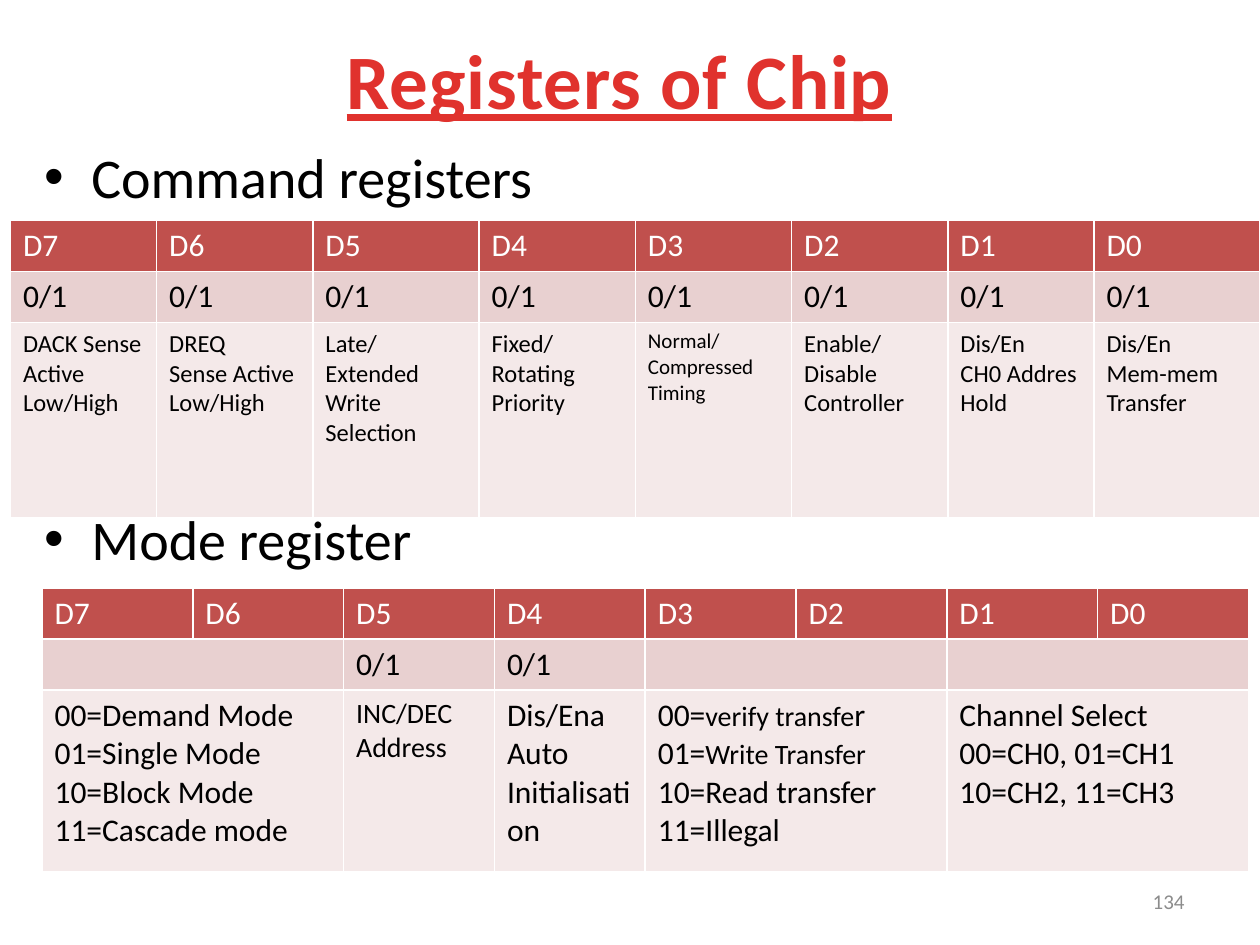
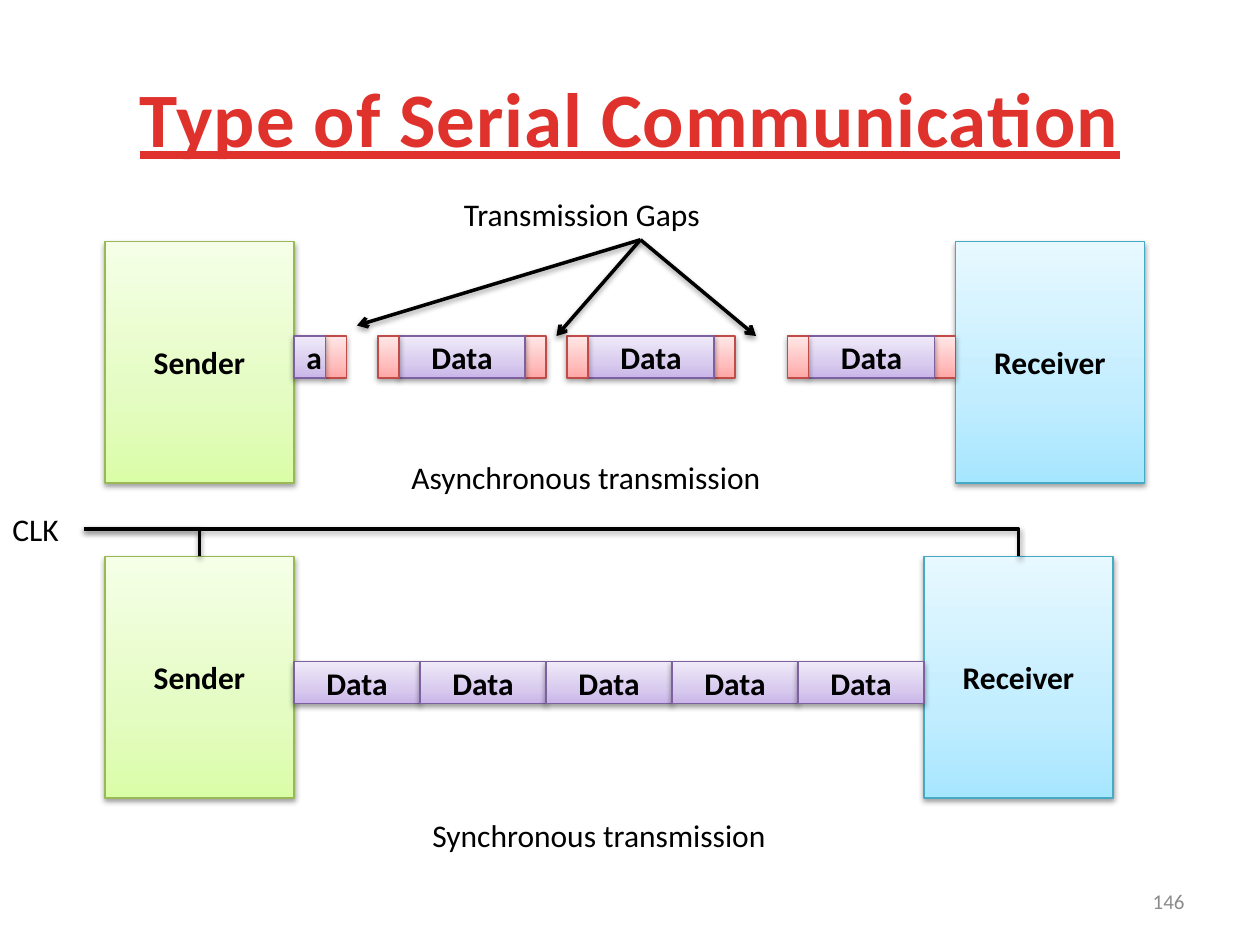
import copy

import pptx
import pptx.dml.color
import pptx.enum.shapes
import pptx.enum.text
import pptx.oxml
import pptx.oxml.ns
import pptx.util

Pt = pptx.util.Pt
qn = pptx.oxml.ns.qn
ALIGN = pptx.enum.text.PP_ALIGN
MIDDLE = pptx.enum.text.MSO_ANCHOR.MIDDLE
CONNECTOR = pptx.enum.shapes.MSO_CONNECTOR

FONT = "Calibri"
COLORS = {
    "text": "000000", "header text": "FFFFFF", "page number": "8C8C8C",
    "header": "C0504D", "bits": "E8D0D0", "meaning": "F4E9E9",
}
TITLE_STOPS = [(0.25, "E0322D"), (1, "A2201C")]
# Block kind: gradient colours from bottom to top, then outline
BLOCKS = {
    "sender": ("DAFDA7", "E4FCC2", "F5FFE7", "98B955"),
    "receiver": ("A7E6FF", "C1EDFF", "E7F8FF", "46AAC5"),
    "data": ("C9B5E8", "D8CBEE", "F0EAF9", "7D60A0"),
    "flag": ("FFA6A5", "FFC0BF", "FFE7E7", "BF4C48"),
}
BLOCK_POSITIONS = (0, 0.35, 1)
ACCENT_2_TABLE_STYLE = "{21E4AEA4-8DFA-4A89-87EB-49C32662AFE0}"

# A cell is (columns spanned, text size, lines); a line is text or sized runs.
HEADER = [(1, 18, [f"D{bit}"]) for bit in range(7, -1, -1)]
BIT = (1, 18, ["0/1"])
BLANK_PAIR = (2, 18, [])

COMMAND_REGISTER = {
    "left": 6, "top": 126,
    "widths": [83.5, 89.3, 95, 89.3, 89.3, 89.3, 83.5, 95],
    "heights": [29.2, 29.2, 111.6],
    "rows": [
        HEADER,
        [BIT] * 8,
        [
            (1, 14, ["DACK Sense Active Low/High"]),
            (1, 14, ["DREQ", "Sense Active Low/High"]),
            (1, 14, ["Late/Extended", "Write", "Selection"]),
            (1, 14, ["Fixed/", "Rotating", "Priority"]),
            (1, 12, ["Normal/", "Compressed", "Timing"]),
            (1, 14, ["Enable/Disable", "Controller"]),
            (1, 14, ["Dis/En", "CH0 Addres", "Hold"]),
            (1, 14, ["Dis/En", "Mem-mem", "Transfer"]),
        ],
    ],
}
MODE_REGISTER = {
    "left": 24, "top": 336,
    "widths": [86.2] * 8,
    "heights": [29.2, 29.2, 103.5],
    "rows": [
        HEADER,
        [BLANK_PAIR, BIT, BIT, BLANK_PAIR, BLANK_PAIR],
        [
            (2, 18, ["00=Demand Mode", "01=Single Mode", "10=Block Mode",
                     "11=Cascade mode"]),
            (1, 16, ["INC/DEC", "Address"]),
            (1, 18, ["Dis/Ena", "Auto", "Initialisation"]),
            (2, 18, [[("00=", 18), ("verify transfe", 16), ("r", 18)],
                     [("01=", 18), ("Write Transfer", 16)],
                     "10=Read transfer", "11=Illegal"]),
            (2, 18, ["Channel Select", "00=CH0, 01=CH1", "10=CH2, 11=CH3"]),
        ],
    ],
}

STATION_WIDTH, STATION_HEIGHT = 108, 138
DATA_WIDTH, FLAG_WIDTH, PACKET_HEIGHT = 72, 12, 24
SENDER_LEFT = 60
LINK_LEFT = SENDER_LEFT + STATION_WIDTH
ASYNC = {"top": 138, "receiver": 546, "packet top": 192}
SYNC = {"top": 318, "receiver": 528, "packet top": 378}
PACKET_STARTS = [216, 324, 450]
SYNC_PACKETS = 5
GAP_ORIGIN = (366, 137)
GAP_TARGETS = [(204, 186), (318, 192), (432, 192)]
CLOCK_START = (48, 302.4)
LABELS = [
    ("Transmission Gaps", 258, 108, 216),
    ("Asynchronous transmission", 228, 258, 294),
    ("Synchronous transmission", 240, 463, 294),
    ("CLK", 0, 288, 48),
]


def rgb(value):
    return pptx.dml.color.RGBColor.from_string(value)


def add_run(paragraph, text, size, color=COLORS["text"], bold=False):
    run = paragraph.add_run()
    run.text = text
    run.font.name = FONT
    run.font.size = Pt(size)
    run.font.bold = bold
    run.font.color.rgb = rgb(color)
    return run


def place(shape, left, top, width, height):
    shape.left, shape.top = Pt(left), Pt(top)
    shape.width, shape.height = Pt(width), Pt(height)


def set_gradient(fill, owner, stops, angle):
    """Give fill, which lies inside the owner element, any number of stops."""
    fill.gradient()
    fill.gradient_angle = angle
    stop_list = owner.find(".//" + qn("a:gsLst"))
    for _ in stops[2:]:
        stop_list.append(copy.deepcopy(stop_list[0]))
    for stop, (position, color) in zip(fill.gradient_stops, stops):
        stop.position = position
        stop.color.rgb = rgb(color)


def add_shadow(shape):
    """Add the soft shadow below; the line must already be set."""
    shape.element.spPr.append(pptx.oxml.parse_xml(
        f'<a:effectLst {pptx.oxml.ns.nsdecls("a")}>'
        '<a:outerShdw blurRad="40000" dist="20000" dir="5400000" rotWithShape="0">'
        '<a:srgbClr val="000000"><a:alpha val="38000"/></a:srgbClr>'
        '</a:outerShdw></a:effectLst>'))


def add_title(slide, text, left, top):
    title = slide.shapes.title
    place(title, left, top, 648, 90)
    title.text_frame.vertical_anchor = MIDDLE
    paragraph = title.text_frame.paragraphs[0]
    paragraph.alignment = ALIGN.CENTER
    run = add_run(paragraph, text, 44, bold=True)
    run.font.underline = True
    properties = run._r.get_or_add_rPr()
    properties.set("spc", "50")
    set_gradient(run.font.fill, properties, TITLE_STOPS, 270)


def add_label(slide, text, left, top, width, height=29, size=18,
              color=COLORS["text"]):
    box = slide.shapes.add_textbox(Pt(left), Pt(top), Pt(width), Pt(height))
    box.text_frame.word_wrap = True
    add_run(box.text_frame.paragraphs[0], text, size, color)
    return box


def add_page_number(slide, number):
    box = add_label(slide, number, 516, 500.5, 168, 28.75, 12,
                    COLORS["page number"])
    box.text_frame.vertical_anchor = MIDDLE
    box.text_frame.paragraphs[0].alignment = ALIGN.RIGHT


def fill_cell(cell, lines, size, color):
    frame = cell.text_frame
    for index, line in enumerate(lines):
        paragraph = frame.add_paragraph() if index else frame.paragraphs[0]
        runs = [(line, size)] if isinstance(line, str) else line
        for text, run_size in runs:
            add_run(paragraph, text, run_size, color)


def add_register(slide, register):
    widths, heights = register["widths"], register["heights"]
    table = slide.shapes.add_table(
        len(heights), len(widths), Pt(register["left"]), Pt(register["top"]),
        Pt(sum(widths)), Pt(sum(heights))).table
    table._tbl.tblPr.find(qn("a:tableStyleId")).text = ACCENT_2_TABLE_STYLE
    for column, width in zip(table.columns, widths):
        column.width = Pt(width)
    kinds = ("header", "bits", "meaning")
    for row, (kind, cells) in enumerate(zip(kinds, register["rows"])):
        table.rows[row].height = Pt(heights[row])
        color = COLORS["header text" if kind == "header" else "text"]
        column = 0
        for span, size, lines in cells:
            cell = table.cell(row, column)
            if span > 1:
                cell.merge(table.cell(row, column + span - 1))
            fill_cell(cell, lines, size, color)
            column += span
        for cell in table.rows[row].cells:
            cell.fill.solid()
            cell.fill.fore_color.rgb = rgb(COLORS[kind])


def add_block(slide, kind, text, left, top, width, height):
    block = slide.shapes.add_shape(
        pptx.enum.shapes.MSO_SHAPE.RECTANGLE,
        Pt(left), Pt(top), Pt(width), Pt(height))
    *gradient, outline = BLOCKS[kind]
    set_gradient(block.fill, block.element.spPr,
                 list(zip(BLOCK_POSITIONS, gradient)), 90)
    block.line.color.rgb = rgb(outline)
    block.line.width = Pt(0.75)
    add_shadow(block)
    if text:
        block.text_frame.vertical_anchor = MIDDLE
        paragraph = block.text_frame.paragraphs[0]
        paragraph.alignment = ALIGN.CENTER
        add_run(paragraph, text, 18, bold=True)


def add_line(slide, start, end, kind=CONNECTOR.STRAIGHT):
    line = slide.shapes.add_connector(kind, *map(Pt, start + end))
    line.line.color.rgb = rgb(COLORS["text"])
    line.line.width = Pt(2)
    add_shadow(line)
    return line.element.spPr


def add_gap_arrow(slide, target):
    properties = add_line(slide, GAP_ORIGIN, target)
    properties.find(qn("a:ln")).append(pptx.oxml.parse_xml(
        f'<a:tailEnd {pptx.oxml.ns.nsdecls("a")} type="arrow"/>'))


def add_clock_line(slide, end):
    """Run the clock across and then down, with one bend."""
    properties = add_line(slide, CLOCK_START, end, CONNECTOR.ELBOW)
    properties.find(qn("a:prstGeom")).set("prst", "bentConnector2")


def build_registers(presentation):
    slide = presentation.slides.add_slide(presentation.slide_layouts[1])
    add_title(slide, "Registers of Chip", 30, 0)
    body = slide.placeholders[1]
    place(body, 18, 78, 660, 372)
    frame = body.text_frame
    frame.auto_size = pptx.enum.text.MSO_AUTO_SIZE.NONE
    headings = [("Command registers", 0), ("Mode register", 168)]
    for index, (text, space_before) in enumerate(headings):
        paragraph = frame.add_paragraph() if index else frame.paragraphs[0]
        paragraph.space_before = Pt(space_before)
        add_run(paragraph, text, 32)
    add_register(slide, COMMAND_REGISTER)
    add_register(slide, MODE_REGISTER)
    add_page_number(slide, "134")


def build_serial_communication(presentation):
    slide = presentation.slides.add_slide(presentation.slide_layouts[5])
    add_title(slide, "Type of Serial Communication", 36, 21.6)
    for link in (ASYNC, SYNC):
        for kind, left in (("sender", SENDER_LEFT), ("receiver", link["receiver"])):
            add_block(slide, kind, kind.capitalize(), left, link["top"],
                      STATION_WIDTH, STATION_HEIGHT)

    packets = [("data", "Data", LINK_LEFT + index * DATA_WIDTH, SYNC, DATA_WIDTH)
               for index in range(SYNC_PACKETS)]
    for start in PACKET_STARTS:
        data_left = start + FLAG_WIDTH
        packets += [
            ("flag", "", data_left + DATA_WIDTH, ASYNC, FLAG_WIDTH),
            ("data", "Data", data_left, ASYNC, DATA_WIDTH),
            ("flag", "", start, ASYNC, FLAG_WIDTH),
        ]
    cut_width = 18
    packets += [("flag", "", LINK_LEFT + cut_width, ASYNC, FLAG_WIDTH),
                ("data", "a", LINK_LEFT, ASYNC, cut_width)]
    for kind, text, left, link, width in packets:
        add_block(slide, kind, text, left, link["packet top"], width, PACKET_HEIGHT)

    for label in LABELS:
        add_label(slide, *label)
    for target in GAP_TARGETS:
        add_gap_arrow(slide, target)
    for station_left in (SENDER_LEFT, SYNC["receiver"]):
        add_clock_line(slide, (station_left + STATION_WIDTH / 2, SYNC["top"]))
    add_page_number(slide, "146")


def main():
    presentation = pptx.Presentation()
    presentation.slide_width, presentation.slide_height = Pt(720), Pt(540)
    build_registers(presentation)
    build_serial_communication(presentation)
    presentation.save("out.pptx")


if __name__ == "__main__":
    main()
